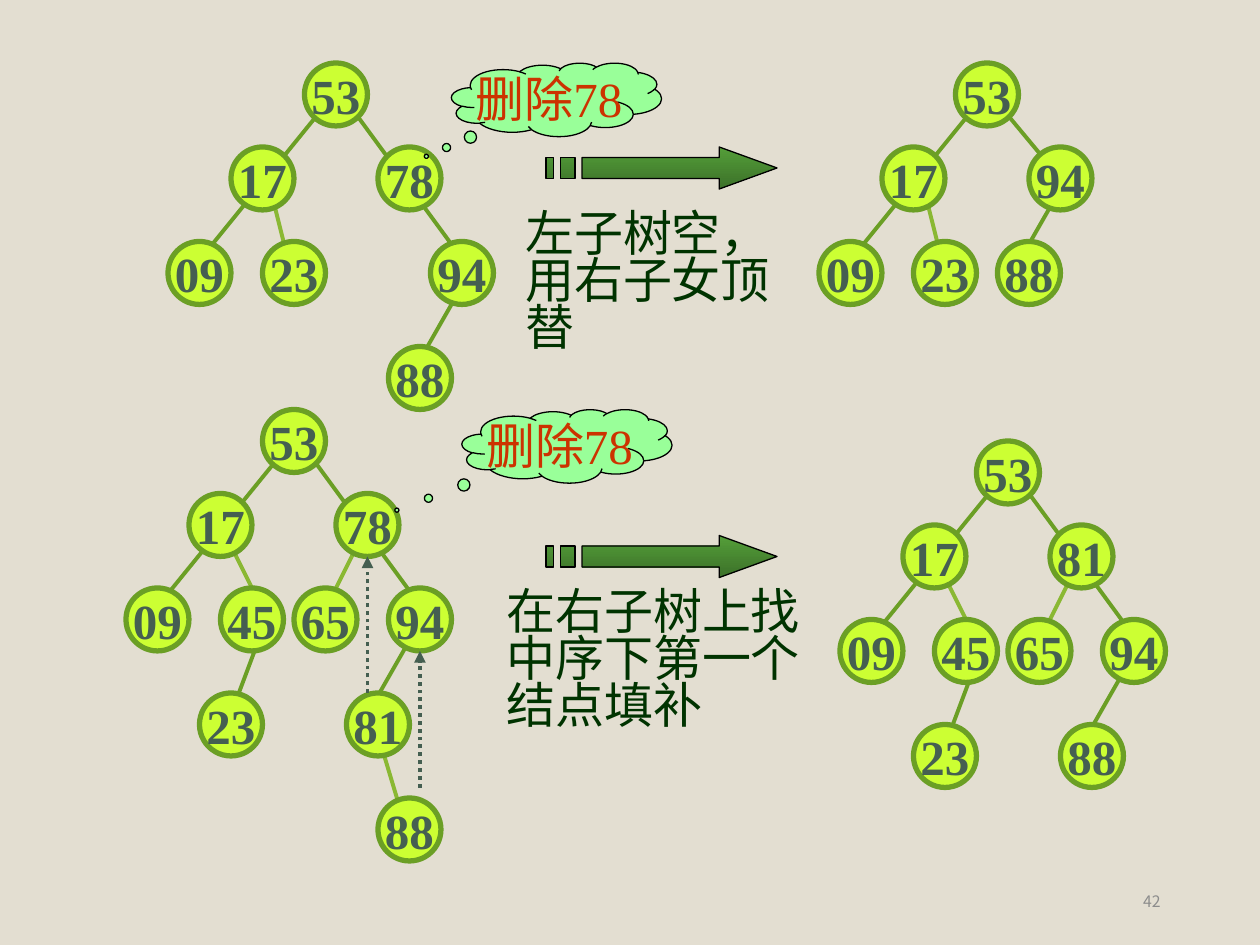
from lxml import etree
from pptx import Presentation, util as u
from pptx.dml.color import RGBColor
from pptx.enum import dml, shapes, text
from pptx.oxml.ns import qn

SAND = RGBColor(0xE3, 0xDE, 0xD1)
LIME = RGBColor(0xCC, 0xFF, 0x33)
GREEN = RGBColor(0x6B, 0x9F, 0x25)
LIGHT_GREEN = RGBColor(0x8A, 0xB8, 0x33)
SLATE = RGBColor(0x45, 0x5F, 0x51)
MINT = RGBColor(0x99, 0xFF, 0x99)
RED = RGBColor(0xCC, 0x33, 0x00)
DARK_GREEN = RGBColor(0x00, 0x33, 0x00)
ARROW_TOP = RGBColor(0x54, 0x9E, 0x39)
ARROW_BOTTOM = RGBColor(0x3C, 0x71, 0x29)
BLACK = RGBColor(0, 0, 0)
GRAY = RGBColor(0x8C, 0x8C, 0x8C)
SERIF, SANS = "Times New Roman", "Noto Sans CJK SC"

COLUMNS, ROWS = 120, 90
NODE = 6

# Offsets from the root, in grid cells
SLOTS = {"root": (0, 0), "L": (-7, 8), "R": (7, 8), "LL": (-13, 17),
         "LR": (-4, 17), "RL": (3, 17), "RR": (12, 17),
         "LRL": (-6, 27), "RRL": (8, 27), "RRLR": (11, 37),
         "RL near": (4, 17)}
LEFT_SPINE = (2, 4, -11, 20, GREEN)
RIGHT_SPINE = (5, 5, 16, 20, GREEN)
FULL_EDGES = [(9, 13, 6, 19, LIGHT_GREEN), (0, 21, -3, 29, GREEN),
              (-3, 13, 0, 19, LIGHT_GREEN), (14, 22, 10, 29, GREEN),
              LEFT_SPINE, RIGHT_SPINE]

TREES = [
    {"root": (29, 6),
     "keys": {"root": "53", "R": "78", "RRL": "88", "L": "17",
              "RR": "94", "LL": "09", "LR": "23"},
     "edges": [(-3, 13, -1, 21, LIGHT_GREEN), LEFT_SPINE,
               (14, 23, 10, 30, GREEN), RIGHT_SPINE]},
    {"root": (91, 6),
     "keys": {"root": "53", "R": "94", "RL near": "88", "L": "17",
              "LL": "09", "LR": "23"},
     "edges": [(-3, 12, -1, 20, LIGHT_GREEN), LEFT_SPINE,
               (10, 12, 6, 19, GREEN), (5, 5, 10, 11, GREEN)]},
    {"root": (25, 39),
     "keys": {"RRLR": "88", "root": "53", "R": "78", "RRL": "81", "L": "17",
              "RR": "94", "LL": "09", "LR": "45", "LRL": "23", "RL": "65"},
     "edges": [(11, 31, 14, 41, LIGHT_GREEN)] + FULL_EDGES},
    {"root": (93, 42),
     "keys": {"root": "53", "R": "81", "RRL": "88", "L": "17", "RR": "94",
              "LL": "09", "LR": "45", "LRL": "23", "RL": "65"},
     "edges": FULL_EDGES},
]
CLOUDS = [("删除78", 43, 6, (-0.62, 0.77)), ("删除78", 44, 39, (-0.81, 0.87))]
NOTES = [("左子树空，用右子女顶替", 48.84, 19.8, 29.16, 14.7),
         ("在右子树上找中序下第一个结点填补", 47.04, 55.8, 30.96, 14.7)]
ARROWS = [(52, 14), (52, 51)]
ARROW_OUTLINES = [
    [(24, 0), (24, 1), (5, 1), (5, 3), (24, 3), (24, 4), (32, 2)],
    [(2, 1), (2, 3), (4, 3), (4, 1)],
    [(0, 1), (0, 3), (1, 3), (1, 1)],
]
ARROW_WIDTH, ARROW_STEPS = 22, 32
MOVES = [(35, 66, 35, 53), (40, 75, 40, 62)]
PAGE_NUMBER = ("42", 84.72, 83.4, 27, 4.8)

deck = Presentation()
deck.slide_width, deck.slide_height = u.Inches(10), u.Inches(7.5)
page = deck.slides.add_slide(deck.slide_layouts[6])
page.background.fill.solid()
page.background.fill.fore_color.rgb = SAND
CELL_X, CELL_Y = deck.slide_width / COLUMNS, deck.slide_height / ROWS


def place(x, y, *rest):
    cells = (x, y) + rest
    return [round(n * (CELL_Y if i % 2 else CELL_X)) for i, n in enumerate(cells)]


def write(box, words, size, color, font=SERIF, bold=False,
          align=text.PP_ALIGN.CENTER, wrap=False):
    frame = box.text_frame
    frame.word_wrap = wrap
    para = frame.paragraphs[0]
    para.alignment = align
    span = para.add_run()
    span.text = words
    span.font.size, span.font.bold, span.font.name = u.Pt(size), bold, font
    span.font.color.rgb = color
    etree.SubElement(span.font._element, qn("a:ea"), typeface=SANS)
    return frame


def add_line(x1, y1, x2, y2, color):
    line = page.shapes.add_connector(shapes.MSO_CONNECTOR.STRAIGHT,
                                     *place(x1, y1, x2, y2))
    line.line.color.rgb, line.line.width = color, u.Pt(2.25)
    etree.SubElement(line._element.spPr, qn("a:effectLst"))
    return line


def add_filled(kind, area, fill, outline, width):
    shape = page.shapes.add_shape(kind, *place(*area))
    shape.shadow.inherit = False
    shape.fill.solid()
    shape.fill.fore_color.rgb = fill
    shape.line.color.rgb, shape.line.width = outline, u.Pt(width)
    shape.text_frame.vertical_anchor = text.MSO_ANCHOR.MIDDLE
    return shape


def add_tree(tree):
    left, top = tree["root"]
    for x1, y1, x2, y2, color in tree["edges"]:
        add_line(left + x1, top + y1, left + x2, top + y2, color)
    for slot, key in tree["keys"].items():
        dx, dy = SLOTS[slot]
        node = add_filled(shapes.MSO_SHAPE.OVAL,
                          (left + dx, top + dy, NODE, NODE), LIME, GREEN, 3)
        write(node, key, 28, SLATE, bold=True)


def add_arrow(x, y):
    first, *others = ARROW_OUTLINES
    builder = page.shapes.build_freeform(
        *first[0], scale=(CELL_X * ARROW_WIDTH / ARROW_STEPS, CELL_Y))
    builder.add_line_segments(first[1:], close=True)
    for outline in others:
        builder.move_to(*outline[0])
        builder.add_line_segments(outline[1:], close=True)
    arrow = builder.convert_to_shape(*place(x, y))
    arrow.shadow.inherit = False
    arrow.fill.gradient()
    arrow.fill.gradient_angle = 270
    for stop, color, position in zip(arrow.fill.gradient_stops,
                                     (ARROW_TOP, ARROW_BOTTOM), (0, 1)):
        stop.color.rgb, stop.position = color, position
    arrow.line.color.rgb, arrow.line.width = BLACK, u.Pt(0.75)


for tree in TREES:
    add_tree(tree)

for words, x, y, tip in CLOUDS:
    cloud = add_filled(shapes.MSO_SHAPE.CLOUD_CALLOUT, (x, y, 20, 7),
                       MINT, BLACK, 0.75)
    cloud.adjustments[0], cloud.adjustments[1] = tip
    write(cloud, words, 28, RED)

for corner in ARROWS:
    add_arrow(*corner)

for words, *area in NOTES:
    note = page.shapes.add_textbox(*place(*area))
    frame = write(note, words, 28, DARK_GREEN, align=text.PP_ALIGN.LEFT, wrap=True)
    frame.auto_size = text.MSO_AUTO_SIZE.SHAPE_TO_FIT_TEXT
    frame.paragraphs[0].line_spacing = 0.8

for ends in MOVES:
    move = add_line(*ends, SLATE)
    move.line.dash_style = dml.MSO_LINE.ROUND_DOT
    etree.SubElement(move.line._get_or_add_ln(), qn("a:tailEnd"), type="triangle")

number, *area = PAGE_NUMBER
box = page.shapes.add_textbox(*place(*area))
frame = write(box, number, 9, GRAY, SANS, align=text.PP_ALIGN.RIGHT, wrap=True)
frame.vertical_anchor = text.MSO_ANCHOR.MIDDLE

deck.save("out.pptx")
